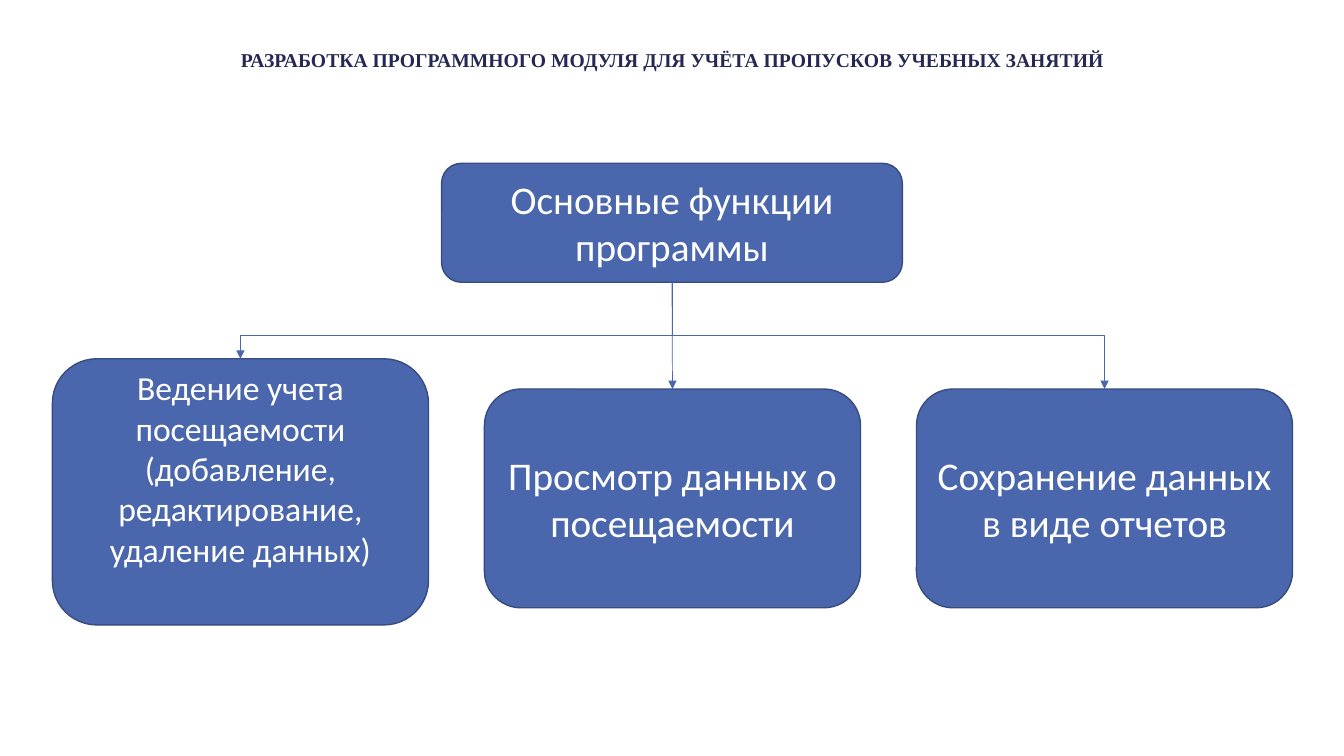
from lxml import etree
from pptx import Presentation
from pptx.dml.color import RGBColor
from pptx.enum.shapes import MSO_CONNECTOR, MSO_SHAPE
from pptx.enum.text import MSO_ANCHOR, PP_ALIGN
from pptx.oxml.ns import qn
from pptx.util import Inches, Pt

NAVY = RGBColor(0x24, 0x28, 0x52)
BLUE = RGBColor(0x4A, 0x66, 0xAC)
DARK_BLUE = RGBColor(0x37, 0x4B, 0x7F)
WHITE = RGBColor(0xFF, 0xFF, 0xFF)

CENTER_X = 6.67
TRUNK_TOP = 2.8
BUS_Y = 3.33
BOX_LEFT, BOX_STEP, BOX_WIDTH = 0.52, 4.285, 3.73

# Text, top, height, font size, bottom inset
FUNCTIONS = [
    ("Ведение учета посещаемости (добавление, редактирование, удаление данных)",
     3.56, 2.64, 24, 0.52),
    ("Просмотр данных о посещаемости", 3.86, 2.17, 28, 0.05),
    ("Сохранение данных в виде отчетов", 3.86, 2.17, 28, 0.05),
]


def set_text(sp, text, size, font, color, bold=False):
    tf = sp.text_frame
    tf.text = text
    tf.word_wrap = True
    tf.vertical_anchor = MSO_ANCHOR.MIDDLE
    p = tf.paragraphs[0]
    p.alignment = PP_ALIGN.CENTER
    r = p.runs[0]
    r.font.size = Pt(size)
    r.font.name = font
    r.font.bold = bold
    r.font.color.rgb = color


def add_title(s, text):
    sp = s.shapes.add_textbox(Inches(2.17), Inches(0.3), Inches(9), Inches(0.61))
    set_text(sp, text, 14, "Times New Roman", NAVY, bold=True)
    sp.text_frame.paragraphs[0].line_spacing = 0.9


def add_box(s, text, left, top, width, height, size=28, bottom_inset=0.05):
    sp = s.shapes.add_shape(MSO_SHAPE.ROUNDED_RECTANGLE, Inches(left), Inches(top),
                            Inches(width), Inches(height))
    sp.shadow.inherit = False
    sp.fill.solid()
    sp.fill.fore_color.rgb = BLUE
    sp.line.color.rgb = DARK_BLUE
    sp.line.width = Pt(1)
    set_text(sp, text, size, "Calibri", WHITE)
    sp.text_frame.margin_bottom = Inches(bottom_inset)
    return sp


def add_arrow(s, kind, x1, y1, x2, y2):
    cx = s.shapes.add_connector(kind, Inches(x1), Inches(y1), Inches(x2), Inches(y2))
    cx.line.color.rgb = BLUE
    cx.line.width = Pt(0.5)
    etree.SubElement(cx.line._get_or_add_ln(), qn("a:tailEnd"), type="triangle")
    etree.SubElement(cx._element.spPr, qn("a:effectLst"))
    return cx


def add_elbow(s, x, y):
    """Go down from the trunk to the bus line, along it, then down to (x, y)."""
    drop, span = y - TRUNK_TOP, x - CENTER_X
    mid_x, mid_y = (x + CENTER_X) / 2, (y + TRUNK_TOP) / 2
    # The frame lies on its side and is turned a quarter about its centre
    side = 1 if span > 0 else -1
    half_w, half_h = side * drop / 2, abs(span) / 2
    cx = add_arrow(s, MSO_CONNECTOR.ELBOW, mid_x + half_w, mid_y - half_h,
                   mid_x - half_w, mid_y + half_h)
    spPr = cx._element.spPr
    spPr.find(qn("a:xfrm")).set("rot", str((270 if span > 0 else 90) * 60000))
    bend = round((BUS_Y - TRUNK_TOP) / drop * 100000)
    guides = spPr.find(qn("a:prstGeom")).find(qn("a:avLst"))
    etree.SubElement(guides, qn("a:gd"), name="adj1", fmla=f"val {bend}")


def main():
    prs = Presentation()
    prs.slide_width, prs.slide_height = Inches(13.33), Inches(7.5)
    s = prs.slides.add_slide(prs.slide_layouts[6])

    add_title(s, "РАЗРАБОТКА ПРОГРАММНОГО МОДУЛЯ ДЛЯ УЧЁТА ПРОПУСКОВ УЧЕБНЫХ ЗАНЯТИЙ")
    root = add_box(s, "Основные функции программы", 4.38, 1.62, 4.57, 1.18)

    # Function boxes, each with its arrow from the root
    for i, (text, top, height, size, inset) in enumerate(FUNCTIONS):
        left = BOX_LEFT + i * BOX_STEP
        box = add_box(s, text, left, top, BOX_WIDTH, height, size, inset)
        if i == 1:
            cx = add_arrow(s, MSO_CONNECTOR.STRAIGHT, CENTER_X, TRUNK_TOP, CENTER_X, top)
            cx.begin_connect(root, 2)
            cx.end_connect(box, 0)
        else:
            add_elbow(s, left + BOX_WIDTH / 2, top)

    prs.save("out.pptx")


if __name__ == "__main__":
    main()
